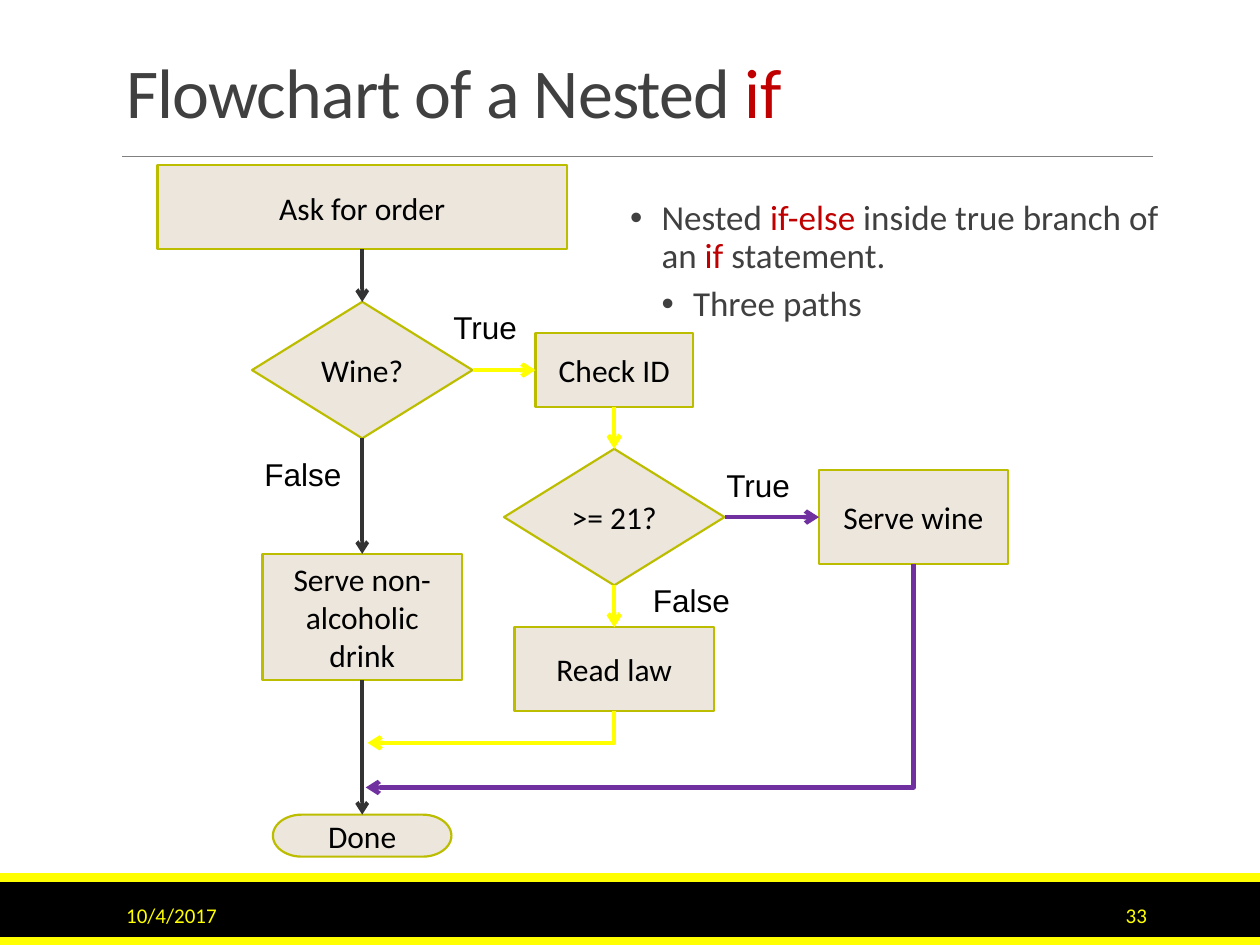
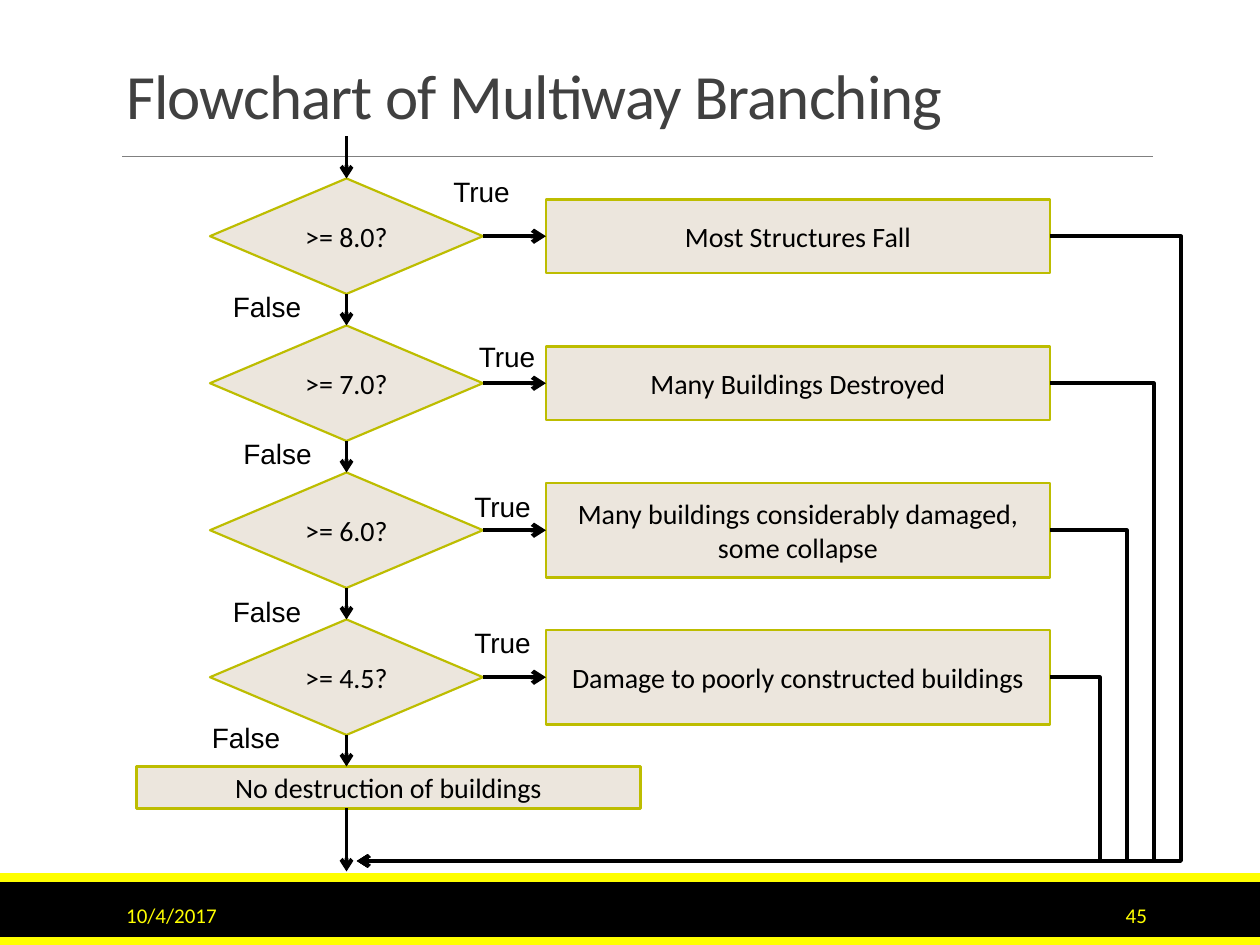
"""Build two flowchart slides: a nested if and multiway branching."""
from lxml.etree import SubElement
from pptx import Presentation
from pptx.dml.color import RGBColor as RGB
from pptx.enum.shapes import MSO_CONNECTOR as Conn, MSO_SHAPE as Kind
from pptx.enum.text import MSO_ANCHOR as Anchor, MSO_AUTO_SIZE as Fit, PP_ALIGN as Align
from pptx.oxml.ns import qn
from pptx.util import Pt

HUES = {
    "black": "000000", "yellow": "FFFF00", "rule": "808080", "text": "404040",
    "red": "C00000", "sand": "ECE6DD", "olive": "BDBD00", "dark": "333333",
    "purple": "7030A0",
}
HUE = {name: RGB.from_string(code) for name, code in HUES.items()}
STEP, TEST, END = Kind.FLOWCHART_PROCESS, Kind.FLOWCHART_DECISION, Kind.FLOWCHART_TERMINATOR
TOP, LEFT, BOTTOM, RIGHT = range(4)


def box(slide, kind, text, size, x, y, w, h):
    shape = slide.shapes.add_shape(kind, Pt(x), Pt(y), Pt(w), Pt(h))
    shape.shadow.inherit = False
    shape.fill.solid()
    shape.fill.fore_color.rgb = HUE["sand"]
    shape.line.color.rgb = HUE["olive"]
    shape.line.width = Pt(1.25)
    shape.text_frame.vertical_anchor = Anchor.MIDDLE
    para = shape.text_frame.paragraphs[0]
    para.text = text
    para.alignment = Align.CENTER
    para.font.name, para.font.size = "Calibri", Pt(size)
    para.font.color.rgb = HUE["black"]
    return shape


def link(slide, hue, width, start, end, kind=Conn.STRAIGHT, head=True):
    line = slide.shapes.add_connector(kind, 0, 0, 0, 0)
    if isinstance(start[0], (int, float)):
        line.begin_x, line.begin_y = Pt(start[0]), Pt(start[1])
    else:
        line.begin_connect(*start)
    if isinstance(end[0], (int, float)):
        line.end_x, line.end_y = Pt(end[0]), Pt(end[1])
    else:
        line.end_connect(*end)
    line.line.color.rgb = HUE[hue]
    line.line.width = Pt(width)
    props = line._element.spPr
    if head:
        SubElement(props.find(qn("a:ln")), qn("a:tailEnd"), type="arrow")
    SubElement(props, qn("a:effectLst"))
    return line


deck = Presentation()
deck.slide_width, deck.slide_height = Pt(720), Pt(540)
nest = deck.slides.add_slide(deck.slide_layouts[1])
multi = deck.slides.add_slide(deck.slide_layouts[5])

for slide, size, runs, page in [
    (nest, 40, [("Flowchart of a Nested ", "text"), ("if", "red")], "33"),
    (multi, 36, [("Flowchart of Multiway Branching", "text")], "45"),
]:
    for hue, y, h in [("black", 504, 36), ("yellow", 499, 5), ("yellow", 535.5, 4.5)]:
        band = slide.shapes.add_shape(Kind.RECTANGLE, 0, Pt(y), Pt(720), Pt(h))
        band.shadow.inherit = False
        band.fill.solid()
        band.fill.fore_color.rgb = HUE[hue]
        band.line.fill.background()
    link(slide, "rule", 0.5, (70, 89.5), (659, 89.5), head=False)

    title = slide.shapes.title
    title.left, title.top, title.width, title.height = Pt(65), Pt(22.5), Pt(594), Pt(57)
    frame = title.text_frame
    frame.auto_size, frame.vertical_anchor = Fit.NONE, Anchor.BOTTOM
    para = frame.paragraphs[0]
    para.alignment, para.line_spacing = Align.LEFT, 0.85
    para.font.name, para.font.size = "Calibri", Pt(size)
    for text, hue in runs:
        run = para.add_run()
        run.text = text
        run.font.color.rgb = HUE[hue]
        run._r.get_or_add_rPr().set("spc", "-50")

    for text, x, w, side in [
        ("10/4/2017", 65, 146, Align.LEFT), (page, 584.5, 78, Align.RIGHT),
    ]:
        frame = slide.shapes.add_textbox(Pt(x), Pt(508.5), Pt(w), Pt(29)).text_frame
        frame.word_wrap, frame.vertical_anchor = True, Anchor.MIDDLE
        para = frame.paragraphs[0]
        para.text, para.alignment = text, side
        para.font.name, para.font.size = "Calibri", Pt(12)
        para.font.color.rgb = HUE["yellow"]

body = nest.placeholders[1]
body.left, body.top, body.width, body.height = Pt(360), Pt(111), Pt(324), Pt(47.5)
frame = body.text_frame
frame.auto_size, frame.vertical_anchor = Fit.NONE, Anchor.TOP
frame.margin_left = frame.margin_right = 0
points = [
    [("Nested ", "text"), ("if-else", "red"), (" inside true branch of an ", "text"),
     ("if ", "red"), ("statement.", "text")],
    [("Three paths", "text")],
]
for level, runs in enumerate(points):
    para = frame.add_paragraph() if level else frame.paragraphs[0]
    para.level = level
    props = para._p.get_or_add_pPr()
    props.set("marL", str(Pt(18 * (level + 1))))
    props.set("indent", str(Pt(-18)))
    SubElement(props, qn("a:buFont"), typeface="Arial")
    SubElement(props, qn("a:buChar"), char="•")
    para.line_spacing = 0.9
    para.space_before, para.space_after = Pt(4), Pt(2 + 2 * level)
    para.font.name, para.font.size = "Calibri", Pt(20)
    for text, hue in runs:
        run = para.add_run()
        run.text = text
        run.font.color.rgb = HUE[hue]

ask = box(nest, STEP, "Ask for order", 18, 90, 94.5, 234, 48)
wine = box(nest, TEST, "Wine?", 18, 144, 172.5, 126, 78)
check = box(nest, STEP, "Check ID", 18, 306, 190.5, 90, 42)
age = box(nest, TEST, ">= 21?", 18, 288, 256.5, 126, 78)
serve = box(nest, STEP, "Serve wine", 18, 468, 268.5, 108, 54)
law = box(nest, STEP, "Read law", 18, 294, 358.5, 114, 48)
soft = box(nest, STEP, "Serve non-alcoholic drink", 18, 150, 316.5, 114, 72)
done = box(nest, END, "Done", 18, 156, 465.5, 102, 24)

for hue, width, a, out, b, into in [
    ("dark", 2.25, ask, BOTTOM, wine, TOP),
    ("dark", 2.25, wine, BOTTOM, soft, TOP),
    ("dark", 2.25, soft, BOTTOM, done, TOP),
    ("yellow", 2.5, wine, RIGHT, check, LEFT),
    ("yellow", 2.5, check, BOTTOM, age, TOP),
    ("yellow", 2.5, age, BOTTOM, law, TOP),
    ("purple", 2.5, age, RIGHT, serve, LEFT),
]:
    link(nest, hue, width, (a, out), (b, into))

for hue, x, y, tip, base in [
    ("purple", 522, 322.5, 209, 450), ("yellow", 351, 406.5, 210, 424.5),
]:
    drop, run = base - y, x - tip
    midx, midy = (x + tip) / 2, (y + base) / 2
    start = (midx - drop / 2, midy - run / 2)
    end = (midx + drop / 2, midy + run / 2)
    bend = link(nest, hue, 2.5, start, end, Conn.ELBOW)
    props = bend._element.spPr
    props.find(qn("a:prstGeom")).set("prst", "bentConnector2")
    xfrm = props.find(qn("a:xfrm"))
    for flip in ("flipH", "flipV"):
        xfrm.attrib.pop(flip, None)
    xfrm.set("rot", "5400000")

tests = []
for i, (limit, text, h) in enumerate([
    ("8.0", "Most Structures Fall", 42),
    ("7.0", "Many Buildings Destroyed", 42),
    ("6.0", "Many buildings considerably damaged, some collapse", 54),
    ("4.5", "Damage to poorly constructed buildings", 54),
]):
    mid = 135 + 84 * i
    test = box(multi, TEST, f">= {limit}?", 16, 120, mid - 33, 156, 66)
    fact = box(multi, STEP, text, 16, 312, mid - h / 2, 288, h)
    link(multi, "black", 2.5, (test, RIGHT), (fact, LEFT))
    start = (tests[-1], BOTTOM) if tests else (198, 78)
    link(multi, "black", 2.25, start, (test, TOP))
    tests.append(test)
    rail = 675 - 15.5 * i
    bend = link(multi, "black", 2.25, (600, mid), (204, 492), Conn.ELBOW)
    geom = bend._element.spPr.find(qn("a:prstGeom"))
    ratio = round((600 - rail) / 396 * 100000)
    SubElement(geom.find(qn("a:avLst")), qn("a:gd"), name="adj1", fmla=f"val {ratio}")

box(multi, STEP, "No destruction of buildings", 16, 78, 438, 288, 24)
link(multi, "black", 2.25, (tests[-1], BOTTOM), (198, 438))
link(multi, "black", 2.25, (198, 462), (198, 498))

for slide, size, text, w, h, spots in [
    (nest, 18, "True", 51, 29, [(252, 172.5), (408, 262.5)]),
    (nest, 18, "False", 59, 29, [(144, 256.5), (366, 328.5)]),
    (multi, 16, "True", 47, 26.5, [(252, 96), (266.5, 190.5), (264, 276), (264, 354)]),
    (multi, 16, "False", 54, 26.5, [(126, 162), (132, 246), (126, 336), (114, 408)]),
]:
    for x, y in spots:
        frame = slide.shapes.add_textbox(Pt(x), Pt(y), Pt(w), Pt(h)).text_frame
        frame.word_wrap, frame.auto_size = False, Fit.SHAPE_TO_FIT_TEXT
        para = frame.paragraphs[0]
        para.text = text
        para.font.name, para.font.size = "Arial", Pt(size)
        para.font.color.rgb = HUE["black"]

deck.save("out.pptx")
